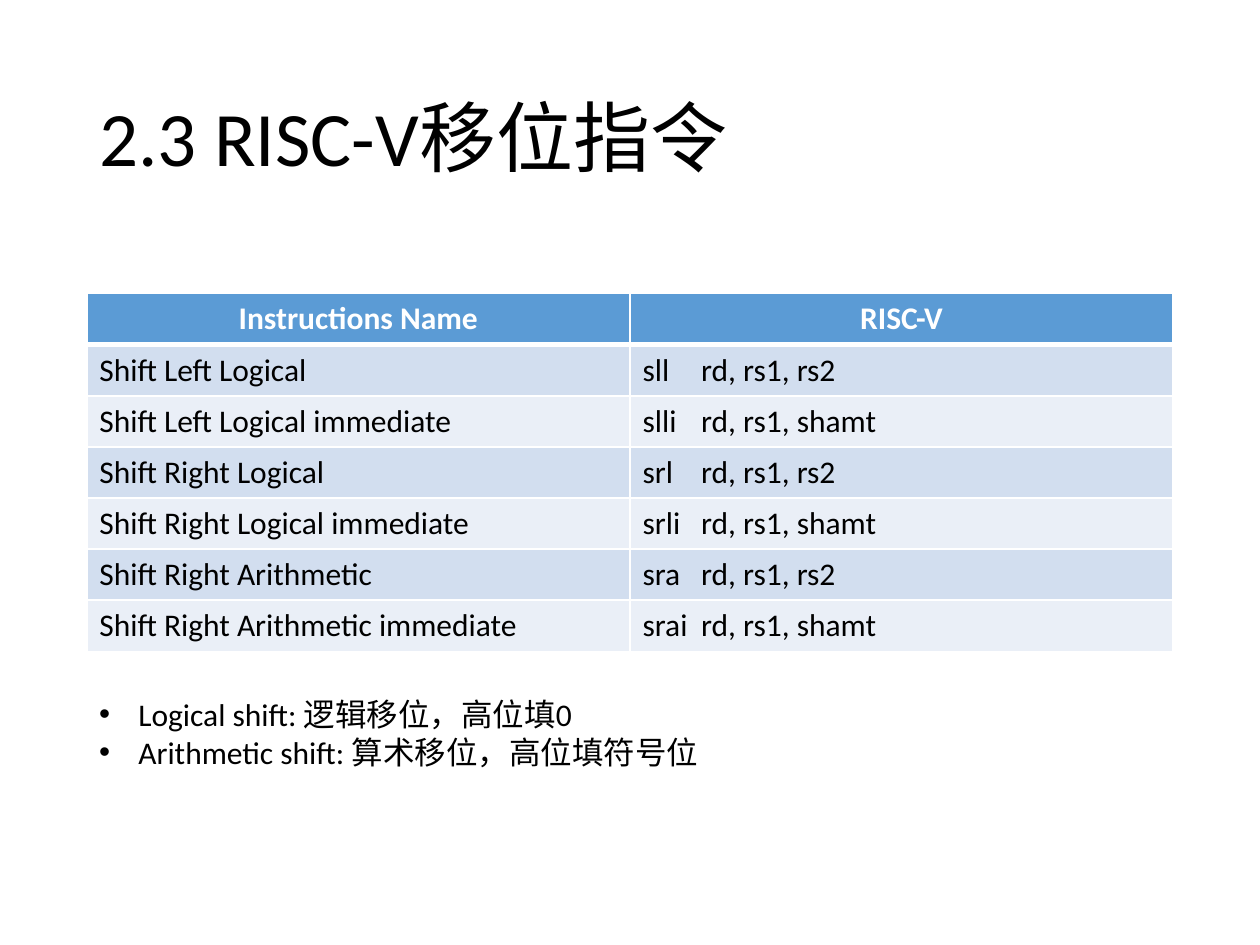
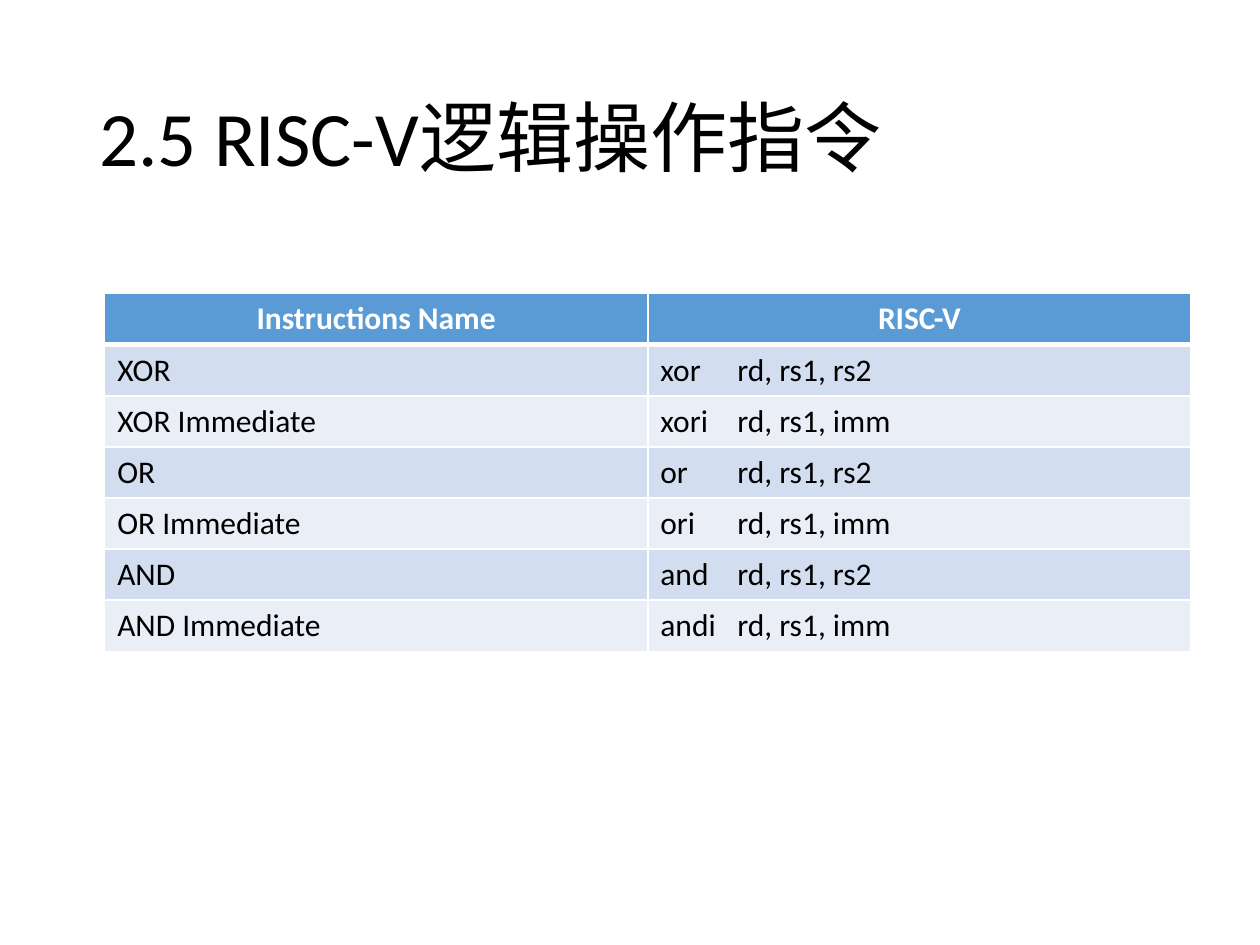
"""Build two slides of RISC-V shift and logic instruction tables."""
from dataclasses import dataclass

from lxml import etree
from pptx import Presentation
from pptx.dml.color import RGBColor
from pptx.enum.text import MSO_ANCHOR, MSO_AUTO_SIZE, PP_ALIGN
from pptx.oxml.ns import qn
from pptx.util import Cm, Pt

LEFT, CENTER = PP_ALIGN.LEFT, PP_ALIGN.CENTER
MIDDLE = MSO_ANCHOR.MIDDLE
FIXED_SIZE, GROW_SHAPE = MSO_AUTO_SIZE.NONE, MSO_AUTO_SIZE.SHAPE_TO_FIT_TEXT
TITLE_ONLY = 5
MARGIN = 1.75
CONTENT_WIDTH = 21.9
ROW_HEIGHT = 1.03


@dataclass(frozen=True)
class Theme:
    font: str = "Calibri"
    title_size: int = 44
    body_size: int = 18
    text: str = "000000"
    white: str = "FFFFFF"
    header: str = "5B9BD5"
    bands: tuple = ("D2DEEF", "EAEFF7")
    thin_line: int = 1
    header_line: int = 3


class SlideBuilder:
    def __init__(self, presentation, theme):
        self.presentation = presentation
        self.theme = theme
        self.slide = None

    def add_slide(self, title):
        layout = self.presentation.slide_layouts[TITLE_ONLY]
        self.slide = self.presentation.slides.add_slide(layout)
        background = self.slide.background.fill
        background.solid()
        background.fore_color.rgb = RGBColor.from_string(self.theme.white)
        shape = self.slide.shapes.title
        shape.left, shape.top = Cm(MARGIN), Cm(1.02)
        shape.width, shape.height = Cm(CONTENT_WIDTH), Cm(3.68)
        frame = shape.text_frame
        frame.word_wrap = True
        frame.auto_size = FIXED_SIZE
        frame.vertical_anchor = MIDDLE
        paragraph = frame.paragraphs[0]
        paragraph.line_spacing = 0.9
        self.add_run(paragraph, title, size=self.theme.title_size)

    def add_run(self, paragraph, text, size=None, color=None, bold=False, align=LEFT):
        paragraph.alignment = align
        run = paragraph.add_run()
        run.text = text
        font = run.font
        font.name = self.theme.font
        font.size = Pt(size or self.theme.body_size)
        font.bold = bold
        font.color.rgb = RGBColor.from_string(color or self.theme.text)

    def add_instruction_table(self, left, operand_tab, instructions):
        theme = self.theme
        row_count = len(instructions) + 1
        table = self.slide.shapes.add_table(
            row_count, 2, Cm(left), Cm(5.92),
            Cm(CONTENT_WIDTH), Cm(ROW_HEIGHT * row_count)).table
        for row in table.rows:
            row.height = Cm(ROW_HEIGHT)
        for column, heading in enumerate(("Instructions Name", "RISC-V")):
            cell = table.cell(0, column)
            self.style_cell(cell, theme.header, bottom=theme.header_line)
            self.add_run(cell.text_frame.paragraphs[0], heading,
                         color=theme.white, bold=True, align=CENTER)
        for index, (name, mnemonic, operands) in enumerate(instructions):
            top = theme.thin_line if index else theme.header_line
            for column, text in enumerate((name, f"{mnemonic}\t{operands}")):
                cell = table.cell(index + 1, column)
                self.style_cell(cell, theme.bands[index % 2], top=top)
                paragraph = cell.text_frame.paragraphs[0]
                self.add_run(paragraph, text)
                if column:
                    self.add_tab_stop(paragraph, operand_tab)

    def style_cell(self, cell, fill, top=None, bottom=None):
        cell.fill.solid()
        cell.fill.fore_color.rgb = RGBColor.from_string(fill)
        thin = self.theme.thin_line
        widths = {"lnL": thin, "lnR": thin, "lnT": top or thin, "lnB": bottom or thin}
        properties = cell._tc.get_or_add_tcPr()
        for position, (side, width) in enumerate(widths.items()):
            line = etree.Element(qn(f"a:{side}"), w=str(Pt(width)))
            solid = etree.SubElement(line, qn("a:solidFill"))
            etree.SubElement(solid, qn("a:srgbClr"), val=self.theme.white)
            properties.insert(position, line)

    def add_tab_stop(self, paragraph, distance):
        properties = paragraph._p.get_or_add_pPr()
        stops = etree.SubElement(properties, qn("a:tabLst"))
        etree.SubElement(stops, qn("a:tab"), pos=str(Cm(distance)), algn="l")

    def add_bullets(self, left, top, width, height, lines):
        shape = self.slide.shapes.add_textbox(Cm(left), Cm(top), Cm(width), Cm(height))
        frame = shape.text_frame
        frame.word_wrap = False
        frame.auto_size = GROW_SHAPE
        for index, line in enumerate(lines):
            paragraph = frame.add_paragraph() if index else frame.paragraphs[0]
            self.add_run(paragraph, line)
            properties = paragraph._p.get_or_add_pPr()
            properties.set("marL", str(Cm(0.79)))
            properties.set("indent", str(-Cm(0.79)))
            etree.SubElement(properties, qn("a:buFont"), typeface="Arial")
            etree.SubElement(properties, qn("a:buChar"), char="•")


def main():
    presentation = Presentation()
    presentation.slide_width, presentation.slide_height = Cm(25.4), Cm(19.05)
    builder = SlideBuilder(presentation, Theme())

    builder.add_slide("2.3 RISC-V移位指令")
    builder.add_instruction_table(MARGIN, 1.18, [
        ("Shift Left Logical", "sll", "rd, rs1, rs2"),
        ("Shift Left Logical immediate", "slli", "rd, rs1, shamt"),
        ("Shift Right Logical", "srl", "rd, rs1, rs2"),
        ("Shift Right Logical immediate", "srli", "rd, rs1, shamt"),
        ("Shift Right Arithmetic", "sra", "rd, rs1, rs2"),
        ("Shift Right Arithmetic immediate", "srai", "rd, rs1, shamt"),
    ])
    builder.add_bullets(MARGIN, 13.89, 12.73, 2.57, [
        "Logical shift: 逻辑移位，高位填0",
        "Arithmetic shift: 算术移位，高位填符号位",
    ])

    builder.add_slide("2.5 RISC-V逻辑操作指令")
    builder.add_instruction_table(2.11, 1.55, [
        ("XOR", "xor", "rd, rs1, rs2"),
        ("XOR Immediate", "xori", "rd, rs1, imm"),
        ("OR", "or", "rd, rs1, rs2"),
        ("OR Immediate", "ori", "rd, rs1, imm"),
        ("AND", "and", "rd, rs1, rs2"),
        ("AND Immediate", "andi", "rd, rs1, imm"),
    ])

    presentation.save("out.pptx")


if __name__ == "__main__":
    main()
